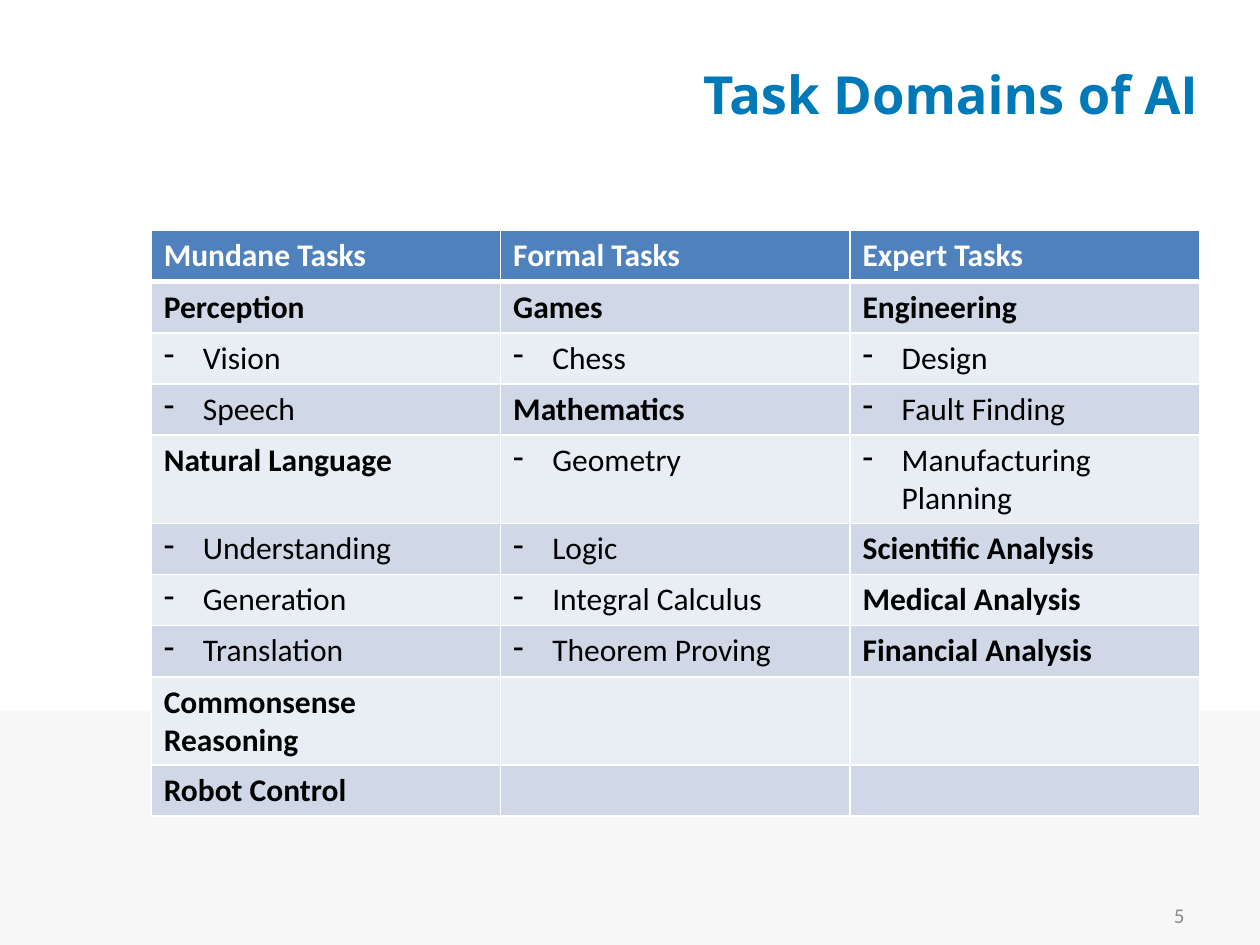
from lxml import etree
from pptx import Presentation
from pptx.dml.color import RGBColor
from pptx.enum.shapes import MSO_SHAPE
from pptx.enum.text import MSO_ANCHOR, PP_ALIGN
from pptx.oxml.ns import qn
from pptx.util import Inches, Pt

RECTANGLE = MSO_SHAPE.RECTANGLE
MIDDLE = MSO_ANCHOR.MIDDLE
LEFT, CENTER, RIGHT = PP_ALIGN.LEFT, PP_ALIGN.CENTER, PP_ALIGN.RIGHT

WHITE = RGBColor(0xFF, 0xFF, 0xFF)
BLACK = RGBColor(0x00, 0x00, 0x00)
TITLE_BLUE = RGBColor(0x00, 0x79, 0xB8)
HEADER_BLUE = RGBColor(0x4F, 0x81, 0xBD)
BANDS = RGBColor(0xD0, 0xD8, 0xE8), RGBColor(0xE9, 0xED, 0xF4)
FOOTER_GREY = RGBColor(0xF7, 0xF7, 0xF7)
NUMBER_GREY = RGBColor(0x8C, 0x8C, 0x8C)

TITLE_ONLY = 5
HANGING = Inches(0.31)

# Entries that start with "- " are members of the bold domain above them.
DOMAINS = {
    "Mundane Tasks": ["Perception", "- Vision", "- Speech", "Natural Language",
                      "- Understanding", "- Generation", "- Translation",
                      "Commonsense Reasoning", "Robot Control"],
    "Formal Tasks": ["Games", "- Chess", "Mathematics", "- Geometry", "- Logic",
                     "- Integral Calculus", "- Theorem Proving"],
    "Expert Tasks": ["Engineering", "- Design", "- Fault Finding",
                     "- Manufacturing Planning", "Scientific Analysis",
                     "Medical Analysis", "Financial Analysis"],
}


def write(frame, text, size=18, font="Calibri", color=BLACK, bold=False,
          align=LEFT, dash=False):
    paragraph = frame.paragraphs[0]
    paragraph.alignment = align
    if dash:
        props = paragraph._p.get_or_add_pPr()
        props.set("marL", str(HANGING))
        props.set("indent", str(-HANGING))
        etree.SubElement(props, qn("a:buFontTx"))
        etree.SubElement(props, qn("a:buChar"), char="-")
    run = paragraph.add_run()
    run.text = text
    run.font.size = Pt(size)
    run.font.name = font
    run.font.bold = bold
    run.font.color.rgb = color


def add_borders(cell, top=1, bottom=1):
    """Draw white cell borders, with widths in points."""
    props = cell._tc.get_or_add_tcPr()
    for side, width in (("L", 1), ("R", 1), ("T", top), ("B", bottom)):
        line = etree.SubElement(props, qn(f"a:ln{side}"), w=str(Pt(width)))
        fill = etree.SubElement(line, qn("a:solidFill"))
        etree.SubElement(fill, qn("a:srgbClr"), val=str(WHITE))


def add_footer_band(slide, box):
    band = slide.shapes.add_shape(RECTANGLE, *box)
    band.shadow.inherit = False
    band.fill.solid()
    band.fill.fore_color.rgb = FOOTER_GREY
    band.line.fill.background()


def place_title(slide, box, text):
    title = slide.shapes.title
    title.left, title.top, title.width, title.height = box
    title.text_frame.vertical_anchor = MIDDLE
    write(title.text_frame, text, size=30, font="Open Sans",
          color=TITLE_BLUE, bold=True, align=CENTER)


def add_page_number(slide, box, number):
    frame = slide.shapes.add_textbox(*box).text_frame
    frame.word_wrap = True
    frame.vertical_anchor = MIDDLE
    write(frame, number, size=12, color=NUMBER_GREY, align=RIGHT)


def add_domain_table(slide, box, domains):
    row_count = 1 + max(map(len, domains.values()))
    table = slide.shapes.add_table(row_count, len(domains), *box).table
    for col, (heading, entries) in enumerate(domains.items()):
        for row in range(row_count):
            cell = table.cell(row, col)
            add_borders(cell, top=3 if row == 1 else 1, bottom=3 if row == 0 else 1)
            cell.fill.solid()
            cell.fill.fore_color.rgb = BANDS[(row - 1) % 2] if row else HEADER_BLUE
            if row == 0:
                write(cell.text_frame, heading, color=WHITE, bold=True)
            elif row <= len(entries):
                entry = entries[row - 1]
                member = entry.startswith("- ")
                write(cell.text_frame, entry.removeprefix("- "),
                      bold=not member, dash=member)


def main():
    prs = Presentation()
    prs.slide_width, prs.slide_height = Inches(10), Inches(7.5)
    slide = prs.slides.add_slide(prs.slide_layouts[TITLE_ONLY])

    def box(*lengths):
        return [Inches(length) for length in lengths]

    add_footer_band(slide, box(0, 5.64, 10, 1.86))
    place_title(slide, box(3.42, 0.39, 8.25, 0.7), "Task Domains of AI")
    add_page_number(slide, box(7.17, 7.06, 2.33, 0.4), "5")
    add_domain_table(slide, box(1.2, 1.83, 8.32, 4.06), DOMAINS)
    prs.save("out.pptx")


if __name__ == "__main__":
    main()
